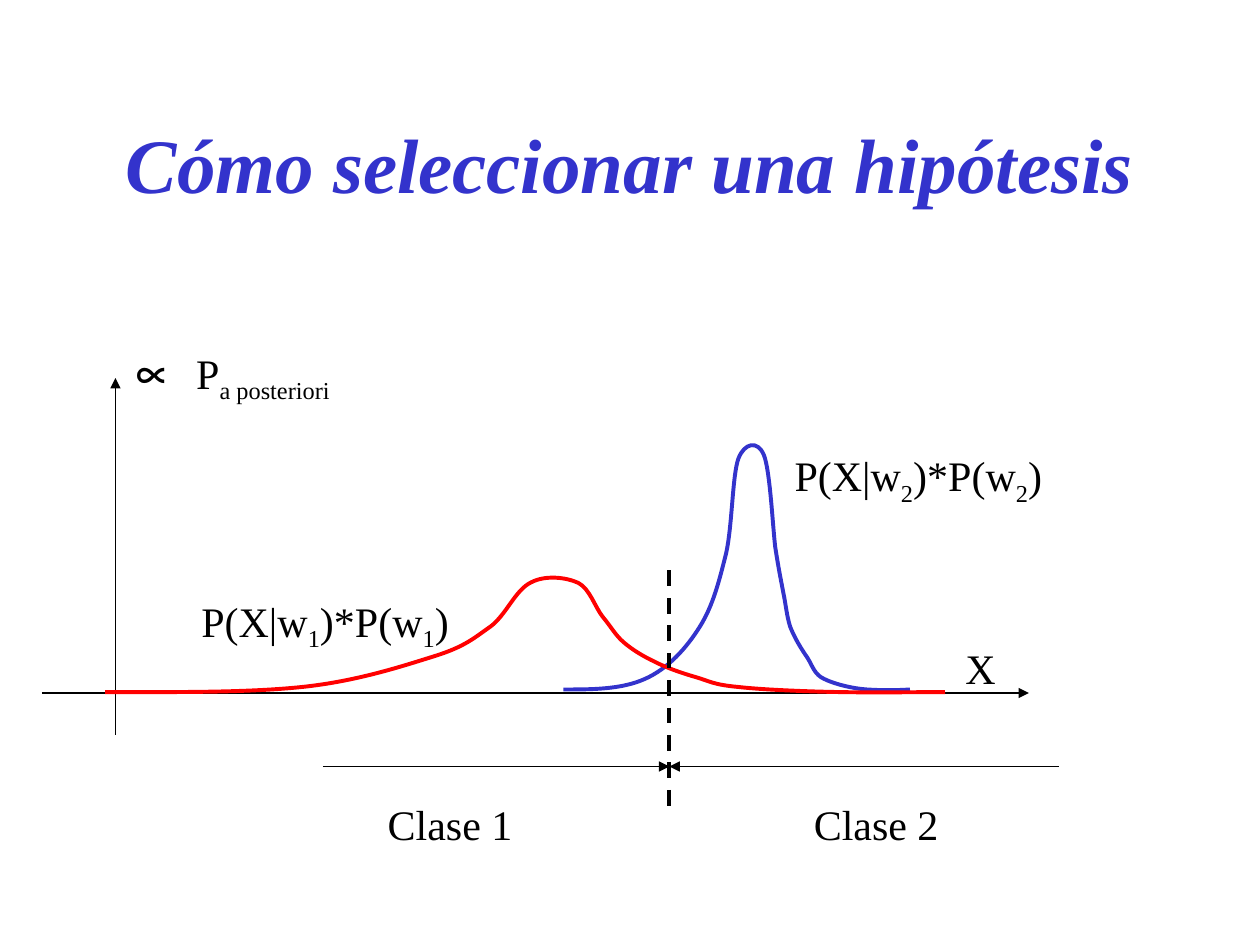
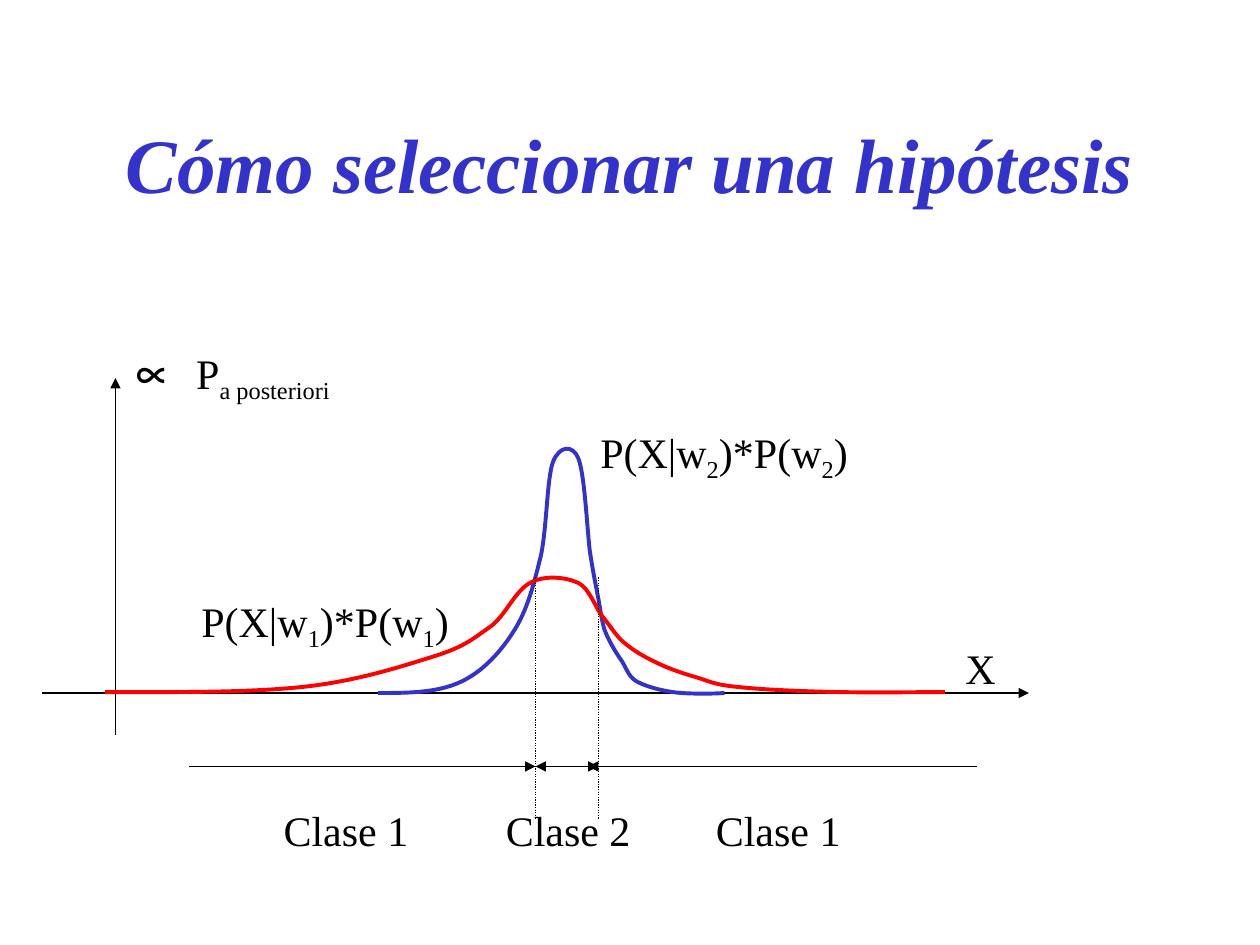
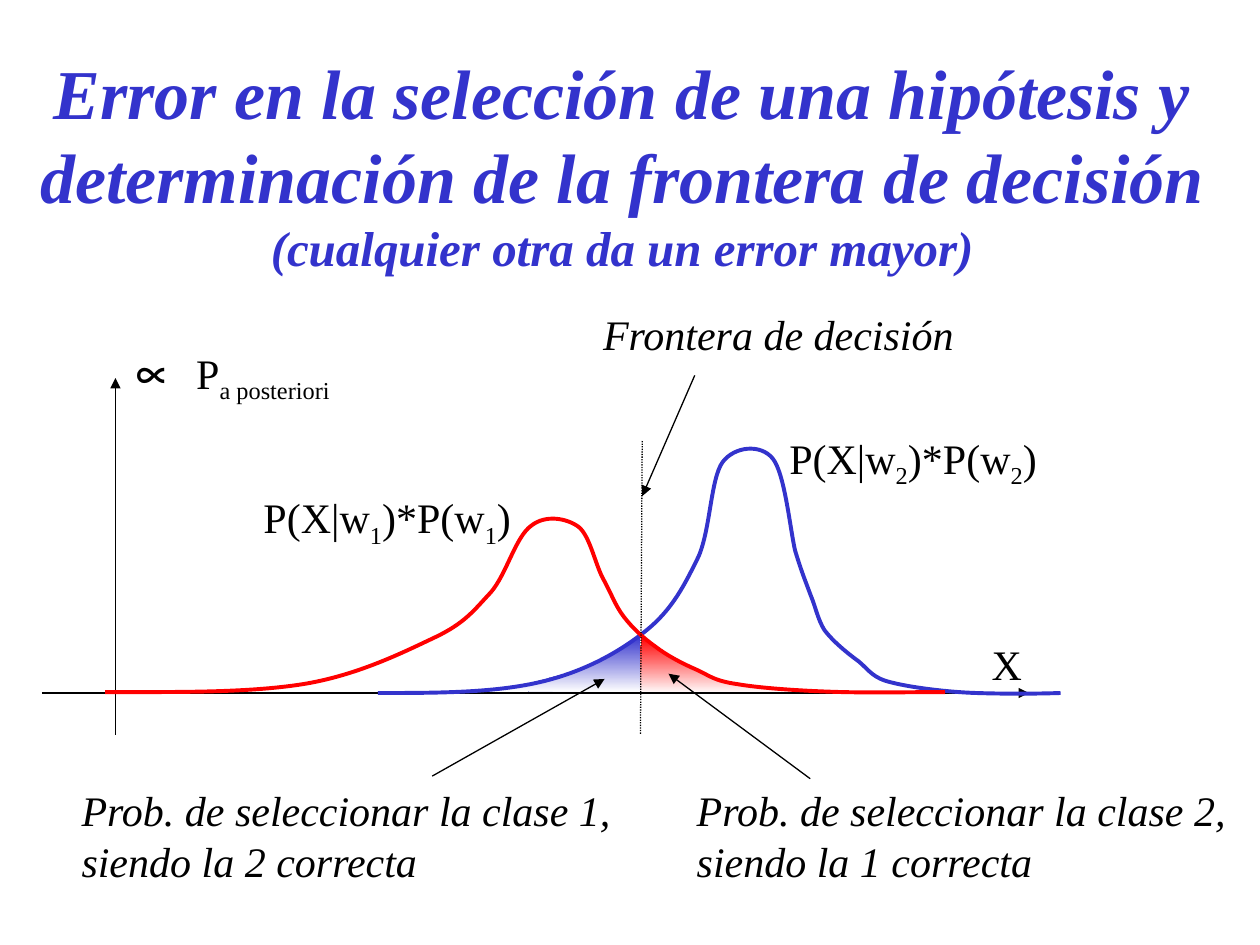
from dataclasses import dataclass

from lxml.etree import SubElement
from pptx import Presentation
from pptx.dml.color import RGBColor
from pptx.enum.dml import MSO_LINE
from pptx.enum.shapes import MSO_CONNECTOR
from pptx.enum.text import MSO_ANCHOR, MSO_AUTO_SIZE, PP_ALIGN
from pptx.oxml.ns import qn
from pptx.util import Pt


@dataclass(frozen=True)
class Theme:
    font: str = "Times New Roman"
    blue: RGBColor = RGBColor(0x33, 0x33, 0xCC)
    red: RGBColor = RGBColor(0xFF, 0x00, 0x00)
    black: RGBColor = RGBColor(0x00, 0x00, 0x00)
    white: RGBColor = RGBColor(0xFF, 0xFF, 0xFF)
    title_size: int = 44
    long_title_size: int = 40
    subtitle_size: int = 28
    symbol_size: int = 32
    label_size: int = 24
    thin: float = 0.75
    thick: float = 2.25


THEME = Theme()
TITLE_ONLY = 5
AXIS_Y = 396
CLASS_ARROW_Y = 438

# Bezier points in points, relative to the left foot of each bell:
# the foot, then two control points and an end point per segment.
CLASS_1_BELL = [
    (0, 0),
    (41, 0), (81.5, 0.5), (113, -4.5),
    (144, -9.5), (170, -22.5), (188, -31),
    (206, -39.5), (211, -47), (220.5, -57),
    (229.5, -67.5), (234.5, -88.5), (243.5, -95),
    (251.5, -101.5), (263.5, -99.5), (270.5, -94.5),
    (277, -89.5), (280, -73.5), (284.5, -65),
    (289.5, -56), (291.5, -49.5), (296.5, -43),
    (301.5, -36.5), (307.5, -31), (314.5, -26),
    (321, -21), (329.5, -16.5), (337.5, -13),
    (345.5, -9.5), (347.5, -6.5), (361.5, -4.5),
    (376, -2), (401, -0.5), (421, 0),
    (440.5, 0.5), (461, 0), (480, 0),
]
CLASS_2_BELL = [
    (0, 0),
    (16.5, 0), (33, 0), (46.5, -6),
    (60, -12), (70.5, -24), (78, -36),
    (85.5, -48), (89, -62), (93, -78),
    (96.5, -94), (96.5, -122.5), (100, -132),
    (103.5, -141), (111, -142.5), (114.5, -134),
    (118, -125.5), (119.5, -94.5), (121, -81.5),
    (123, -68.5), (124, -64), (125.5, -56),
    (127, -49), (127.5, -42.5), (129.5, -36),
    (132, -29.5), (136, -23), (139.5, -18),
    (142.5, -13), (143.5, -8.5), (149, -6),
    (155, -3), (165.5, -0.5), (173.5, 0),
    (181.5, 0.5), (190, 0.5), (198, 0),
]
CLASS_1_ERROR = [
    (268, 394.5), (295, 392.5), (323.5, 385), (346.5, 376),
    (365.5, 363), (365.5, 381), (365.5, 395.5),
]
CLASS_2_ERROR = [
    (365.5, 396), (366.5, 363.5), (391, 380), (401, 384.5),
    (420, 391.5), (441.5, 393), (457, 394.5), (453.5, 396.5),
]


def write(para, text, size=THEME.label_size, color=THEME.black,
          bold=False, italic=False, subscript=False):
    span = para.add_run()
    span.text = text
    font = span.font
    font.name, font.size, font.color.rgb = THEME.font, Pt(size), color
    font.bold, font.italic = bold, italic
    if subscript:
        span._r.get_or_add_rPr().set("baseline", "-25000")


def set_title(page, text, size=THEME.title_size, subtitle=None, left=54, width=612):
    box = page.shapes.title
    box.left, box.top, box.width, box.height = Pt(left), Pt(48), Pt(width), Pt(90)
    frame = box.text_frame
    frame.word_wrap = True
    frame.auto_size = MSO_AUTO_SIZE.NONE
    frame.vertical_anchor = MSO_ANCHOR.MIDDLE
    para = frame.paragraphs[0]
    para.alignment = PP_ALIGN.CENTER
    look = {"color": THEME.blue, "bold": True, "italic": True}
    write(para, text, size=size, **look)
    if subtitle:
        para.add_line_break()
        line_break = para._p.find(qn("a:br"))
        SubElement(line_break, qn("a:rPr"), sz=str(size * 100))
        write(para, subtitle, size=THEME.subtitle_size, **look)


def add_label_box(page, left, top, width, height=36):
    """Add an unwrapped text box and return its text frame."""
    box = page.shapes.add_textbox(Pt(left), Pt(top), Pt(width), Pt(height))
    frame = box.text_frame
    frame.word_wrap = False
    frame.auto_size = MSO_AUTO_SIZE.SHAPE_TO_FIT_TEXT
    return frame


def add_label(page, *lines, left, top, width, height=36, italic=False):
    frame = add_label_box(page, left, top, width, height)
    for index, line in enumerate(lines):
        para = frame.add_paragraph() if index else frame.paragraphs[0]
        write(para, line, italic=italic)


def add_density_label(page, number, left, top):
    para = add_label_box(page, left, top, 158).paragraphs[0]
    for text in ("P(X|w", ")*P(w"):
        write(para, text)
        write(para, str(number), subscript=True)
    write(para, ")")


def add_line(page, start, end, width=THEME.thin, dash=None, head=False, tail=False):
    """Draw a straight line; head puts an arrowhead at start, tail at end."""
    line = page.shapes.add_connector(
        MSO_CONNECTOR.STRAIGHT, *(Pt(value) for value in (*start, *end)))
    line.line.color.rgb = THEME.black
    line.line.width = Pt(width)
    if dash:
        line.line.dash_style = dash
    for wanted, tag in ((head, "a:headEnd"), (tail, "a:tailEnd")):
        if wanted:
            SubElement(line.line._get_or_add_ln(), qn(tag), type="triangle")
    SubElement(line._element.spPr, qn("a:effectLst"))


def add_outline(page, points, close):
    first, *rest = [(Pt(x), Pt(y)) for x, y in points]
    builder = page.shapes.build_freeform(*first)
    builder.add_line_segments(rest, close=close)
    shape = builder.convert_to_shape()
    shape.shadow.inherit = False
    return shape


def add_bell(page, bell, color, left, base, stretch_x=1, stretch_y=1):
    """Draw a bell as one outline whose segments are Bezier curves."""
    points = [(left + x * stretch_x, base + y * stretch_y) for x, y in bell]
    shape = add_outline(page, points, close=False)
    shape.fill.background()
    shape.line.color.rgb = color
    shape.line.width = Pt(THEME.thick)
    outline = shape._element.find(".//" + qn("a:path"))
    segments = outline.findall(qn("a:lnTo"))
    for index in range(0, len(segments), 3):
        curve = SubElement(outline, qn("a:cubicBezTo"))
        for segment in segments[index:index + 3]:
            curve.append(segment[0])
            outline.remove(segment)


def add_error_area(page, points, color):
    """Fill an area with a gradient that fades to white downwards."""
    area = add_outline(page, points, close=True)
    area.line.fill.background()
    area.fill.gradient()
    area.fill.gradient_angle = 270
    for stop, shade in zip(area.fill.gradient_stops, (color, THEME.white)):
        stop.color.rgb = shade


def add_axes(page, x_label=(544.5, 363.5)):
    add_line(page, (66, 420), (66, 216), tail=True)
    add_line(page, (24, AXIS_Y), (588, AXIS_Y), tail=True)
    add_label(page, "X", left=x_label[0], top=x_label[1], width=32)
    para = add_label_box(page, 65, 187, 132, 45).paragraphs[0]
    write(para, "∝ ", size=THEME.symbol_size)
    write(para, "P")
    write(para, "a posteriori", subscript=True)


def add_class_1_bell(page, stretch_y=0.66):
    add_bell(page, CLASS_1_BELL, THEME.red, 60, 395.5, stretch_y=stretch_y)


def add_class_2_bell(page, left, base=AXIS_Y, stretch_x=1):
    add_bell(page, CLASS_2_BELL, THEME.blue, left, base, stretch_x=stretch_x)


def add_class_label(page, number, left, top):
    add_label(page, f"Clase {number}", left=left, top=top, width=86)


def add_class_arrow(page, start, end, **arrowheads):
    add_line(page, (start, CLASS_ARROW_Y), (end, CLASS_ARROW_Y), **arrowheads)


def new_page(deck):
    return deck.slides.add_slide(deck.slide_layouts[TITLE_ONLY])


def add_single_boundary_page(deck):
    page = new_page(deck)
    set_title(page, "Cómo seleccionar una hipótesis")
    add_axes(page)
    add_class_2_bell(page, left=322, base=394)
    add_class_1_bell(page)
    add_density_label(page, 1, 108, 336.5)
    add_density_label(page, 2, 447, 253.5)
    boundary = 382.5
    add_line(page, (boundary, 326), (boundary, 464), width=THEME.thick, dash=MSO_LINE.DASH)
    for number, start, label_left in ((1, 184.5, 214.5), (2, 605, 458)):
        add_class_arrow(page, start, boundary, tail=True)
        add_class_label(page, number, label_left, 453)


def add_double_boundary_page(deck):
    page = new_page(deck)
    set_title(page, "Cómo seleccionar una hipótesis")
    add_axes(page)
    add_class_2_bell(page, left=216)
    add_class_1_bell(page)
    add_density_label(page, 1, 108, 336.5)
    add_density_label(page, 2, 336, 240)
    lower, upper = 306, 342
    for boundary in (lower, upper):
        add_line(page, (boundary, 330), (boundary, 468), dash=MSO_LINE.ROUND_DOT)
    add_class_arrow(page, 108, lower, tail=True)
    add_class_arrow(page, 558, 336, tail=True)
    add_class_arrow(page, lower, upper, head=True, tail=True)
    for number, left in ((1, 155), (2, 282), (1, 402)):
        add_class_label(page, number, left, 456)


def add_error_page(deck):
    page = new_page(deck)
    add_error_area(page, CLASS_1_ERROR, THEME.blue)
    add_error_area(page, CLASS_2_ERROR, THEME.red)
    set_title(
        page,
        "Error en la selección de una hipótesis y determinación de la frontera de decisión",
        size=THEME.long_title_size,
        subtitle="(cualquier otra da un error mayor)",
        left=7, width=697)
    add_axes(page, x_label=(559.5, 361.5))
    add_class_2_bell(page, left=216, stretch_x=1.97)
    add_class_1_bell(page, stretch_y=1)
    add_density_label(page, 1, 143.5, 277.5)
    add_density_label(page, 2, 444, 243.5)
    add_line(page, (367, 252), (366, 420), dash=MSO_LINE.ROUND_DOT)
    add_label(page, "Frontera de decisión", left=337.5, top=173, width=215, italic=True)
    for chosen, correct, left in ((1, 2, 39.5), (2, 1, 391)):
        add_label(page, f"Prob. de seleccionar la clase {chosen},",
                  f"siendo la {correct} correcta",
                  left=left, top=445, width=323, height=65, italic=True)
    for start, end in (((247, 443.5), (345.5, 388)),
                       ((463, 445), (382, 385)),
                       ((397, 214.5), (367, 283.5))):
        add_line(page, start, end, tail=True)


def main():
    deck = Presentation()
    deck.slide_width, deck.slide_height = Pt(720), Pt(540)
    add_single_boundary_page(deck)
    add_double_boundary_page(deck)
    add_error_page(deck)
    deck.save("out.pptx")


if __name__ == "__main__":
    main()
